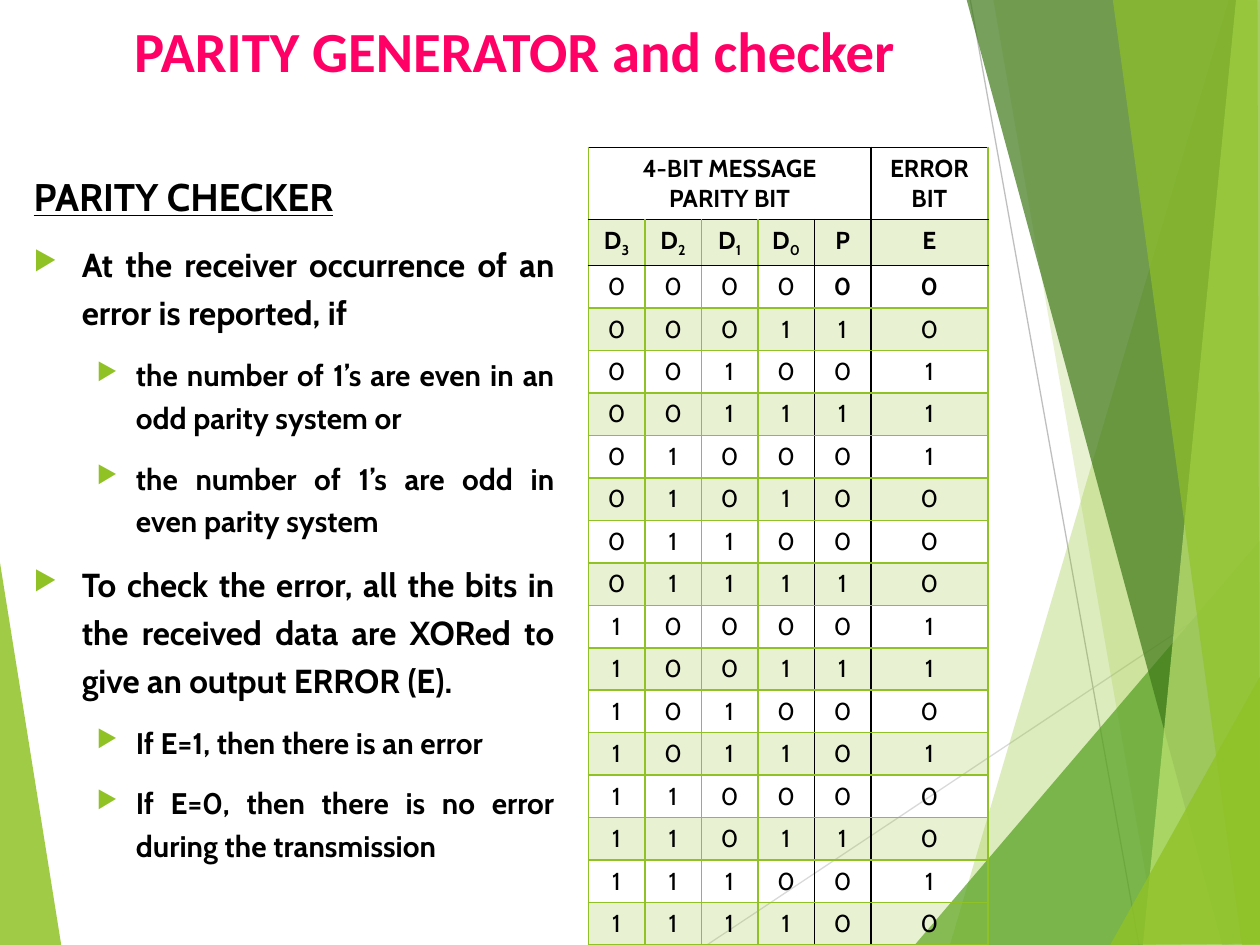
"""Build a slide on the parity checker with its truth table."""
from dataclasses import dataclass
from itertools import product

from lxml import etree
from pptx import Presentation
from pptx.dml.color import RGBColor
from pptx.enum.shapes import MSO_CONNECTOR
from pptx.enum.text import MSO_ANCHOR, MSO_AUTO_SIZE, PP_ALIGN
from pptx.oxml.ns import qn
from pptx.util import Cm, Pt

STRAIGHT = MSO_CONNECTOR.STRAIGHT
TOP, FIXED = MSO_ANCHOR.TOP, MSO_AUTO_SIZE.NONE
CENTER, JUSTIFY = PP_ALIGN.CENTER, PP_ALIGN.JUSTIFY


@dataclass(frozen=True)
class Theme:
    """Hold the colours, fonts and type sizes."""
    lime: str = "90C226"
    green: str = "54A021"
    dark: str = "3F7819"
    pale: str = "C0E474"
    ink: str = "000000"
    pink: str = "FF0066"
    face: str = "Cabin"
    head: str = "Calibri"
    title: float = 32.4
    sizes: tuple = (22, 19, 17)
    cell: float = 14


T = Theme()
RAYS = [
    (T.lime, 30, [(24.77, 0), (19.15, 19.05), (25.45, 19.08), (25.43, 0.03)]),
    (T.lime, 20, [(20.02, -0.03), (23.34, 19.05), (25.43, 19.05), (25.43, -0.03)]),
    (T.green, 72, [(18.44, 19.05), (25.4, 10.9), (25.43, 19.05)]),
    (T.dark, 70, [(19.48, -0.03), (24.64, 19.05), (25.43, 19.02), (25.43, -0.03)]),
    (T.pale, 70, [(24.92, -0.03), (23.04, 19.05), (25.43, 19.05), (25.4, -0.03)]),
    (T.lime, 65, [(22.43, -0.03), (25.04, 19.05), (25.4, 19.05), (25.35, -0.03)]),
    (T.lime, 80, [(22.38, 19.05), (25.43, 13.59), (25.43, 19.02)]),
]
WEDGE = (T.lime, 85, [(-0.03, 11.15), (1.24, 19.08), (-0.03, 19.05)])
BEAMS = [("D9D9D9", (14.25, 19.05, 25.43, 11.61)),
         ("BFBFBF", (19.56, 0, 22.96, 19.05))]
INDENTS = [None, (0.97, -0.97), (2.06, -0.79)]
NOTES = [
    (0, "PARITY CHECKER"),
    (1, "At the receiver occurrence of an error is reported, if"),
    (2, "the number of 1’s are even in an odd parity system or"),
    (2, "the number of 1’s are odd in even parity system"),
    (1, "To check the error, all the bits in the received data are XORed "
        "to give an output ERROR (E). "),
    (2, "If E=1, then there is an error "),
    (2, "If E=0, then there is no error during the transmission"),
]
PARITY = "0101000101000100"
WIDTHS = [1.14] * 5 + [2.36]


def assign(target, values):
    """Set each named attribute on the target."""
    for name, value in values.items():
        setattr(target, name, value)


def add(parent, tag, **attrs):
    """Append an XML child and return it."""
    child = etree.SubElement(parent, qn(tag))
    for name, value in attrs.items():
        child.set(name, str(value))
    return child


def paint(fill, color, alpha):
    """Apply a solid fill with an opacity in percent."""
    fill.solid()
    fill.fore_color.rgb = RGBColor.from_string(color)
    node = fill._xPr.find(qn("a:solidFill"))[0]
    add(node, "a:alpha", val=alpha * 1000)


def write(para, text, size, color=T.ink, face=T.face, **extra):
    """Add a formatted run to a paragraph."""
    run = para.add_run()
    run.text = text
    assign(run.font, {"name": face, "size": Pt(size), "bold": True, **extra})
    run.font.color.rgb = RGBColor.from_string(color)
    return run


def draw_ray(slide, color, alpha, points):
    """Draw a translucent polygon."""
    spots = [(Cm(x), Cm(y)) for x, y in points]
    pen = slide.shapes.build_freeform(*spots[0])
    pen.add_line_segments(spots[1:], close=True)
    shape = pen.convert_to_shape()
    shape.shadow.inherit = False
    shape.line.fill.background()
    paint(shape.fill, color, alpha)


def draw_beam(slide, color, ends):
    """Draw a thin straight line."""
    beam = slide.shapes.add_connector(STRAIGHT, *map(Cm, ends))
    beam.line.width = Pt(0.75)
    beam.line.color.rgb = RGBColor.from_string(color)
    add(beam._element.spPr, "a:effectLst")


def set_title(slide, text):
    """Place and format the title above the rays."""
    title = slide.shapes.title
    slide.shapes._spTree.append(title._element)
    assign(title, {"left": Cm(1.27), "top": Cm(0.2),
                   "width": Cm(18.21), "height": Cm(2.74)})
    frame = title.text_frame
    assign(frame, {"word_wrap": True, "auto_size": FIXED, "vertical_anchor": TOP})
    frame.paragraphs[0].alignment = CENTER
    write(frame.paragraphs[0], text, T.title, T.pink, T.head)


def add_bullet(para, level):
    """Give a paragraph its indent and green arrow."""
    left, hang = INDENTS[level]
    props = para._p.get_or_add_pPr()
    props.set("marL", str(Cm(left)))
    props.set("indent", str(Cm(hang)))
    add(add(props, "a:buClr"), "a:srgbClr", val=T.lime)
    add(props, "a:buSzPct", val=80000)
    add(props, "a:buChar", char="▶")


def add_notes(slide):
    """Write the heading and the two-level list."""
    box = slide.shapes.add_textbox(Cm(0.43), Cm(3.18), Cm(11), Cm(16.71))
    frame = box.text_frame
    assign(frame, {"word_wrap": True, "auto_size": FIXED, "vertical_anchor": TOP})
    for index, (level, text) in enumerate(NOTES):
        para = frame.add_paragraph() if index else frame.paragraphs[0]
        assign(para, {"alignment": JUSTIFY, "line_spacing": 1.2,
                      "space_before": Pt(10), "level": max(level - 1, 0)})
        if level:
            add_bullet(para, level)
        write(para, text, T.sizes[level], underline=level == 0)


def add_edges(cell, row, col):
    """Draw the four borders of a cell, black around the headings and P."""
    dark = {"L": col in (4, 5), "R": col in (3, 4),
            "T": row < 3, "B": row < 2}
    props = cell._tc.get_or_add_tcPr()
    for index, (side, black) in enumerate(dark.items()):
        line = etree.Element(qn(f"a:ln{side}"), w=str(Pt(1)))
        color = T.ink if black else T.lime
        add(add(line, "a:solidFill"), "a:srgbClr", val=color)
        props.insert(index, line)


def fill_cell(cell, lines, bold):
    """Write centred lines; an underscore starts a subscript."""
    for index, text in enumerate(lines):
        frame = cell.text_frame
        para = frame.add_paragraph() if index else frame.paragraphs[0]
        para.alignment = CENTER
        base, _, sub = text.partition("_")
        write(para, base, T.cell, bold=bold)
        if sub:
            run = write(para, sub, T.cell, bold=bold)
            run.font._element.set("baseline", "-25000")


def add_table(slide):
    """Build the truth table, where E is the XOR of each row."""
    rows = [["4-BIT MESSAGE\nPARITY BIT", "", "", "", "", "ERROR BIT"],
            ["D_3", "D_2", "D_1", "D_0", "P", "E"]]
    for bits, check in zip(product("01", repeat=4), PARITY):
        row = [*bits, check]
        rows.append(row + [str(row.count("1") % 2)])
    frame = slide.shapes.add_table(len(rows), len(WIDTHS), Cm(11.86), Cm(2.97),
                                   Cm(sum(WIDTHS)), Cm(15.31))
    table = frame.table
    assign(table, {"first_row": False, "horz_banding": False})
    for column, width in zip(table.columns, WIDTHS):
        column.width = Cm(width)
    for r, row in enumerate(rows):
        table.rows[r].height = Cm(0.82 if r else 1.37)
        for c, text in enumerate(row):
            cell = table.cell(r, c)
            if r % 2:
                paint(cell.fill, T.lime, 20)
            else:
                cell.fill.background()
            add_edges(cell, r, c)
            if text:
                fill_cell(cell, text.split("\n"), r < 2 or (r == 2 and c > 3))
    table.cell(0, 0).merge(table.cell(0, 4))


def main():
    """Build and save the slide."""
    deck = Presentation()
    assign(deck, {"slide_width": Cm(25.4), "slide_height": Cm(19.05)})
    slide = deck.slides.add_slide(deck.slide_layouts[5])
    draw_ray(slide, *WEDGE)
    for beam in BEAMS:
        draw_beam(slide, *beam)
    for ray in RAYS:
        draw_ray(slide, *ray)
    set_title(slide, "PARITY GENERATOR and checker")
    add_notes(slide)
    add_table(slide)
    deck.save("out.pptx")


if __name__ == "__main__":
    main()
